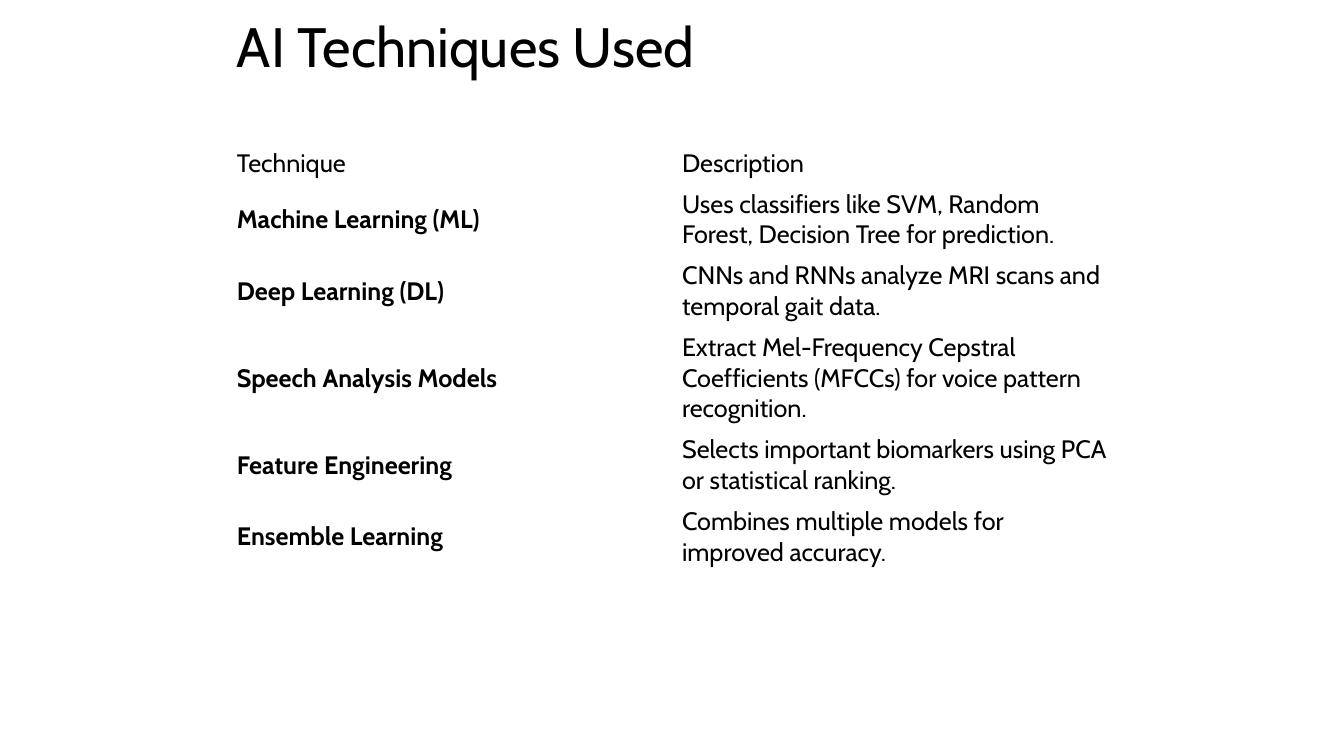
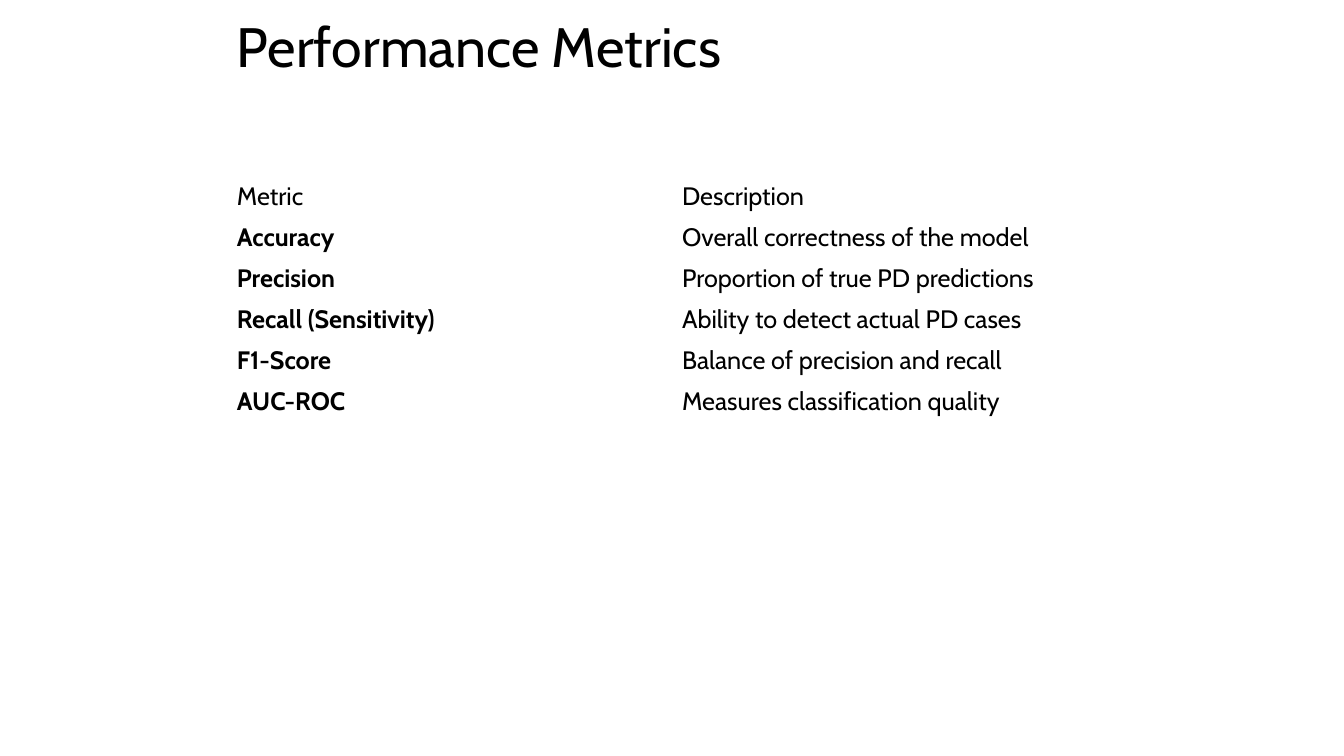
from pptx import Presentation
from pptx.dml.color import RGBColor
from pptx.enum.text import MSO_ANCHOR, MSO_AUTO_SIZE, PP_ALIGN
from pptx.util import Pt

PX = 9525
FONT = "Cabin"
INK = "000000"
LEFT, WIDTH = 216, 848
TITLE_TOP, TITLE_HEIGHT = 15, 64
ROW_HEIGHT, EXTRA_LINE = 38, 29

SLIDES = [
    ("AI Techniques Used", 136, [
        ("Technique", "Description", 1),
        ("Machine Learning (ML)", "Uses classifiers like SVM, Random Forest, Decision Tree for prediction.", 2),
        ("Deep Learning (DL)", "CNNs and RNNs analyze MRI scans and temporal gait data.", 2),
        ("Speech Analysis Models",
         "Extract Mel-Frequency Cepstral Coefficients (MFCCs) for voice pattern recognition.", 3),
        ("Feature Engineering", "Selects important biomarkers using PCA or statistical ranking.", 2),
        ("Ensemble Learning", "Combines multiple models for improved accuracy.", 2),
    ]),
    ("Performance Metrics", 168, [
        ("Metric", "Description", 1),
        ("Accuracy", "Overall correctness of the model", 1),
        ("Precision", "Proportion of true PD predictions", 1),
        ("Recall (Sensitivity)", "Ability to detect actual PD cases", 1),
        ("F1-Score", "Balance of precision and recall", 1),
        ("AUC-ROC", "Measures classification quality", 1),
    ]),
]


def color(value):
    return RGBColor.from_string(value)


def write(frame, text, size=18, bold=False, spacing=1.0):
    para = frame.paragraphs[0]
    para.alignment = PP_ALIGN.LEFT
    para.line_spacing = spacing
    span = para.add_run()
    span.text = text
    span.font.name = FONT
    span.font.size = Pt(size)
    span.font.bold = bold
    span.font.color.rgb = color(INK)


deck = Presentation()
deck.slide_width = 1280 * PX
deck.slide_height = 720 * PX
title_only = deck.slide_layouts[5]

for heading, table_top, rows in SLIDES:
    page = deck.slides.add_slide(title_only)
    title = page.shapes.title
    title.left, title.top = LEFT * PX, TITLE_TOP * PX
    title.width, title.height = WIDTH * PX, TITLE_HEIGHT * PX
    title.text_frame.auto_size = MSO_AUTO_SIZE.NONE
    title.text_frame.vertical_anchor = MSO_ANCHOR.MIDDLE
    write(title.text_frame, heading, size=39.6, spacing=0.9)

    heights = [ROW_HEIGHT + EXTRA_LINE * (lines - 1) for _, _, lines in rows]
    table = page.shapes.add_table(
        len(rows), 2, LEFT * PX, table_top * PX, WIDTH * PX, sum(heights) * PX
    ).table
    table.first_row = False
    table.horz_banding = False
    for row_index, (name, description, _) in enumerate(rows):
        table.rows[row_index].height = heights[row_index] * PX
        for column_index, text in enumerate((name, description)):
            cell = table.cell(row_index, column_index)
            cell.fill.background()
            cell.vertical_anchor = MSO_ANCHOR.MIDDLE
            write(cell.text_frame, text, bold=row_index > 0 and column_index == 0)

deck.save("out.pptx")
